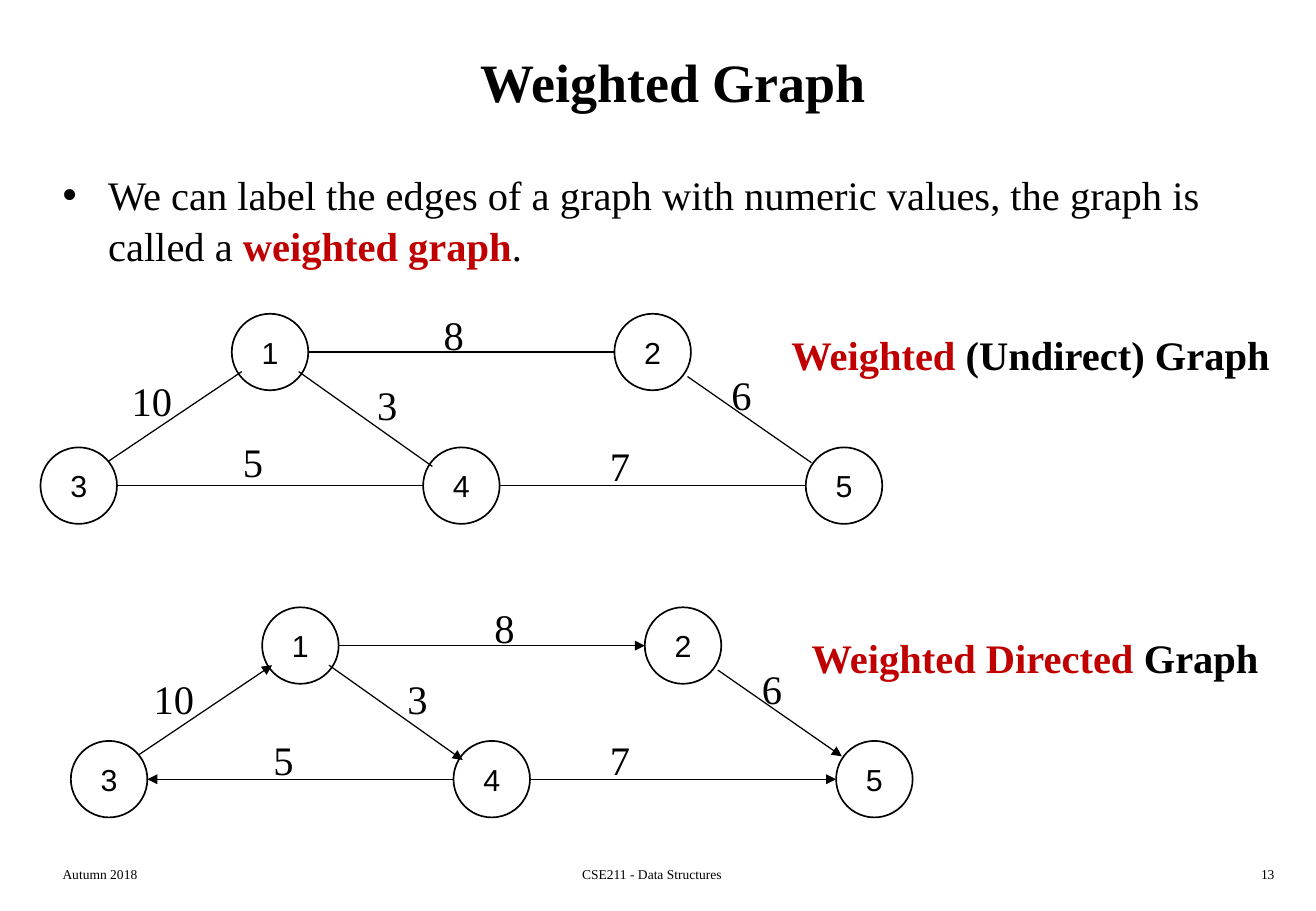
from lxml import etree
from pptx import Presentation
from pptx.dml.color import RGBColor
from pptx.enum import shapes, text
from pptx.oxml import ns
from pptx.util import Pt

BLACK = RGBColor(0, 0, 0)
RED = RGBColor(0xC0, 0, 0)
SERIF = "Times New Roman"
LEFT, MID, RIGHT = text.PP_ALIGN.LEFT, text.PP_ALIGN.CENTER, text.PP_ALIGN.RIGHT
SIZE, STEP, DROP = 45.36, 113.4, 79.2
NODES = ["3", "1", "4", "2", "5"]
EDGES = [
    (153, 34.3, 232.3, 90.5),
    (SIZE + STEP, SIZE / 2, 3 * STEP, SIZE / 2),
    (383.5, 37.2, 457, 88.3),
    (2 * STEP, DROP + SIZE / 2, SIZE, DROP + SIZE / 2),
    (2 * STEP + SIZE, DROP + SIZE / 2, 4 * STEP, DROP + SIZE / 2),
    (40, 87.6, 119.3, 34.3),
]


def put(para, runs, size, font=SERIF, align=LEFT, bold=None):
    """Fill a paragraph with (words, colour, bold) runs."""
    para.alignment = align
    para.font.size, para.font.name, para.font.bold = Pt(size), font, bold
    for words, color, heavy in runs:
        run = para.add_run()
        run.text = words
        run.font.color.rgb = color
        run.font.bold = heavy


def write(slide, box, runs, size, align=LEFT, bold=None, anchor=text.MSO_ANCHOR.TOP):
    """Add a wrapped text box and return its paragraph."""
    frame = slide.shapes.add_textbox(*map(Pt, box)).text_frame
    frame.word_wrap = True
    frame.vertical_anchor = anchor
    para = frame.paragraphs[0]
    put(para, runs, size, align=align, bold=bold)
    return para


def bullet(para):
    """Give a paragraph a hanging round bullet."""
    props = para._p.get_or_add_pPr()
    props.set("marL", str(Pt(27)))
    props.set("indent", str(-Pt(27)))
    etree.SubElement(props, ns.qn("a:buFont"), typeface="Arial")
    mark = etree.SubElement(props, ns.qn("a:buChar"), char="•")
    props.append(props.find(ns.qn("a:defRPr")))
    return mark


def edge(slide, ends, arrow):
    """Draw one edge, with an arrowhead at its end if directed."""
    line = slide.shapes.add_connector(shapes.MSO_CONNECTOR.STRAIGHT, *map(Pt, ends))
    line.line.color.rgb = BLACK
    line.line.width = Pt(0.75)
    if arrow:
        etree.SubElement(line.line._get_or_add_ln(), ns.qn("a:tailEnd"), type="triangle")
    etree.SubElement(line._element.spPr, ns.qn("a:effectLst"))


def node(slide, x, y, name):
    """Draw one numbered circle."""
    ring = slide.shapes.add_shape(shapes.MSO_SHAPE.OVAL, *map(Pt, (x, y, SIZE, SIZE)))
    ring.shadow.inherit = False
    ring.fill.background()
    ring.line.color.rgb = BLACK
    ring.line.width = Pt(1)
    ring.text_frame.vertical_anchor = text.MSO_ANCHOR.MIDDLE
    put(ring.text_frame.paragraphs[0], [(name, BLACK, None)], 18, "Arial", MID)


def graph(slide, x, y, arrow, costs):
    """Draw the five-node graph; costs are (label, centre, top)."""
    for x1, y1, x2, y2 in EDGES:
        edge(slide, (x + x1, y + y1, x + x2, y + y2), arrow)
    for i, name in enumerate(NODES):
        node(slide, x + i * STEP, y + (i + 1) % 2 * DROP, name)
    for cost, cx, top in costs:
        write(slide, (cx - 21, top, 42, 36), [(cost, BLACK, None)], 24, MID)


def main():
    """Build the weighted graph slide."""
    deck = Presentation()
    deck.slide_width, deck.slide_height = Pt(780), Pt(540)
    slide = deck.slides.add_slide(deck.slide_layouts[6])
    for x, width, words, align in [
        (30, 163, "Autumn 2018", LEFT),
        (240.5, 292, "CSE211 - Data Structures", MID),
        (600, 162.5, "13", RIGHT),
    ]:
        write(slide, (x, 510, width, 18), [(words, BLACK, None)], 8, align)
    write(slide, (30, 12, 738, 72), [("Weighted Graph", BLACK, None)], 32, MID, True,
          text.MSO_ANCHOR.MIDDLE)
    body = write(slide, (30, 96, 732, 78), [
        ("We can label the edges of a graph with numeric values, the graph is called a ", BLACK, None),
        ("weighted graph", RED, True),
        (".", BLACK, None),
    ], 24)
    body.line_spacing = 1.05
    bullet(body)
    graph(slide, 24, 186, False, [
        ("8", 269, 180), ("7", 367.5, 258), ("10", 90, 219.5),
        ("5", 150, 255.5), ("3", 229.5, 222), ("6", 439.5, 216),
    ])
    graph(slide, 42, 360, True, [
        ("8", 299, 354), ("7", 367.5, 432), ("10", 103, 396),
        ("5", 168, 432), ("3", 247.5, 396), ("6", 457.5, 390),
    ])
    for box, red, black in [
        ((462, 192, 308, 36.5), "Weighted", " (Undirect) Graph"),
        ((474, 372, 290, 36.5), "Weighted Directed ", "Graph"),
    ]:
        write(slide, box, [(red, RED, None), (black, BLACK, None)], 24, bold=True)
    deck.save("out.pptx")


if __name__ == "__main__":
    main()
